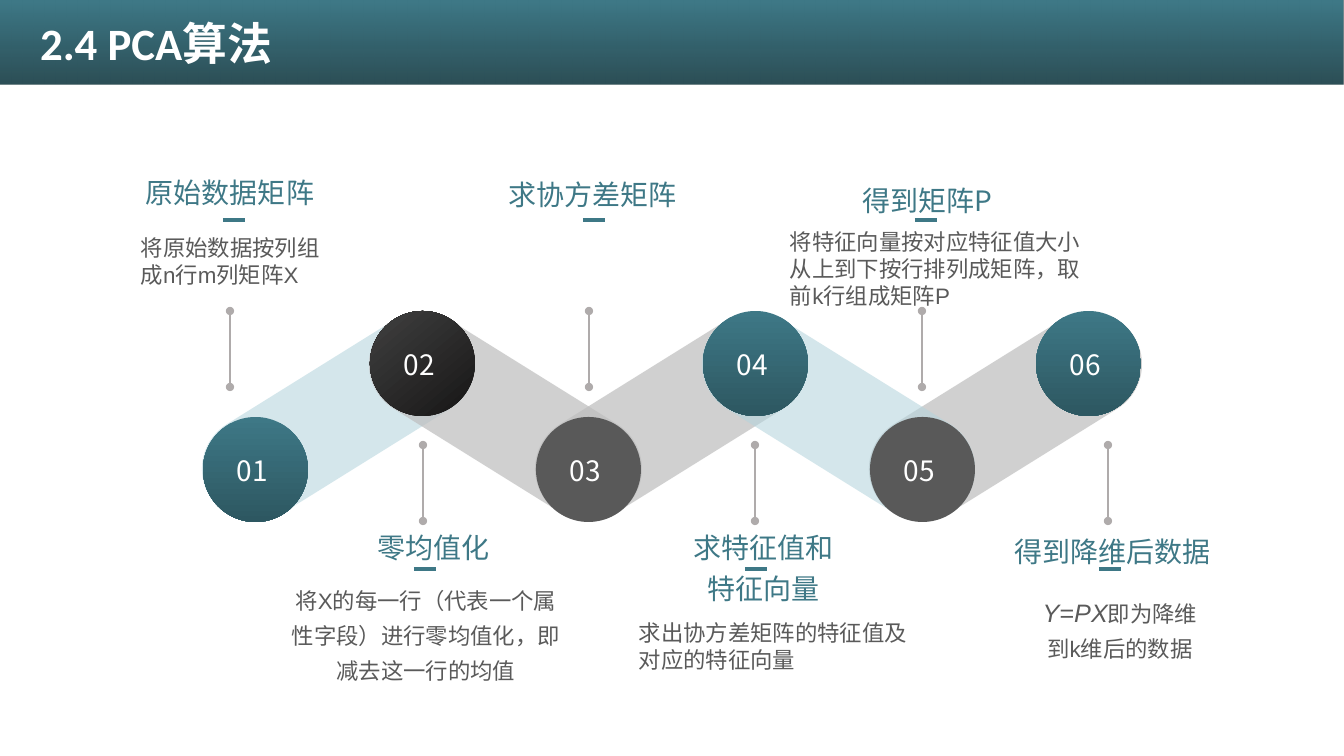
"""Build the slide on the six steps of the PCA algorithm."""
from lxml import etree
from pptx import Presentation
from pptx import util as u
from pptx.dml.color import RGBColor
from pptx.enum import shapes, text
from pptx.oxml.ns import qn

TITLE = "2.4 PCA算法"
TEAL, GREY, BODY, WHITE = "3E7886", "595959", "5A5A5A", "FFFFFF"
CJK = "Noto Sans CJK SC"
LEFT, CENTER = text.PP_ALIGN.LEFT, text.PP_ALIGN.CENTER
TEAL_FADE = ([(0, TEAL), (1, "2D5761")], 270)
BLACK_FADE = ([(0.03, "181717"), (1, "404040")], 130)
BAR_FADE = ([(0.04, TEAL), (0.96, "274B53")], 270)
DISC_FILLS = [TEAL_FADE, BLACK_FADE, GREY, TEAL_FADE, GREY, TEAL_FADE]
BAND_ORDER = [2, 4, 0, 1, 3]
BLUE_BANDS = {0, 3}

STEPS = [
    dict(stem=230, tick=223, head="原始数据矩阵", head_box=(134, 164, 192, 47),
         body=["将原始数据按列组成n行m列矩阵X"], body_box=(131, 229, 205, 65)),
    dict(stem=423, tick=414, head="零均值化", head_box=(351, 519, 165, 47),
         body=["将X的每一行（代表一个属性字段）进行零均值化，即减去这一行的均值"],
         body_box=(277, 574, 298, 113), align=CENTER),
    dict(stem=589, tick=583, head="求协方差矩阵", head_box=(494, 166, 197, 47)),
    dict(stem=755, tick=745, head="求特征值和特征向量", head_box=(682, 519, 163, 88),
         body=["求出协方差矩阵的特征值及对应的特征向量"], body_box=(629, 614, 298, 65)),
    dict(stem=922, tick=915, head="得到矩阵P", head_box=(829, 172, 197, 47),
         body=["将特征向量按对应特征值大小从上到下按行排列成矩阵，取前k行组成矩阵P"],
         body_box=(780, 223, 330, 92)),
    dict(stem=1108, tick=1099, head="得到降维后数据", head_box=(1000, 523, 225, 47),
         body=[("Y", True), ("=", False), ("PX", True), "即为降维到k维后的数据"],
         body_box=(1030, 583, 180, 82), align=CENTER),
]
DISC, BAND_W, BAND_TOP = 105, 303, 364
UPPER, LOWER = 311, 417


def px(*values):
    return [round(v * 914400 / 100.8) for v in values]


def rgb(value):
    return RGBColor.from_string(value)


def step_x(start, i):
    return start + round(i * 500 / 3)


def add_shape(kind, box, fill, alpha=None):
    sp = slide.shapes.add_shape(kind, *px(*box))
    sp.shadow.inherit = False
    sp.line.fill.background()
    if isinstance(fill, str):
        sp.fill.solid()
        sp.fill.fore_color.rgb = rgb(fill)
    else:
        stops, angle = fill
        sp.fill.gradient()
        sp.fill.gradient_angle = angle
        for stop, (position, color) in zip(sp.fill.gradient_stops, stops):
            stop.position = position
            stop.color.rgb = rgb(color)
    if alpha:
        color = list(sp._element.spPr.iter(qn("a:srgbClr")))[-1]
        etree.SubElement(color, qn("a:alpha")).set("val", str(alpha * 1000))
    return sp


def add_line(x1, y1, x2, y2, color, width, ovals=False):
    line = slide.shapes.add_connector(shapes.MSO_CONNECTOR.STRAIGHT, *px(x1, y1, x2, y2))
    line.line.color.rgb = rgb(color)
    line.line.width = u.Pt(width)
    if ovals:
        for end in ("a:headEnd", "a:tailEnd"):
            etree.SubElement(line.line._get_or_add_ln(), qn(end)).set("type", "oval")
    etree.SubElement(line._element.spPr, qn("a:effectLst"))


def write(sp, runs, size, font, color, align=LEFT, spacing=None, bold=None):
    tf = sp.text_frame
    tf.word_wrap = True
    tf.auto_size = text.MSO_AUTO_SIZE.SHAPE_TO_FIT_TEXT
    tf.vertical_anchor = text.MSO_ANCHOR.TOP
    p = tf.paragraphs[0]
    p.alignment, p.line_spacing = align, spacing
    p.font.size, p.font.name, p.font.bold = u.Pt(size), font, bold
    p.font.color.rgb = rgb(color)
    etree.SubElement(p.font._element, qn("a:ea")).set("typeface", CJK)
    for item in runs:
        r = p.add_run()
        if isinstance(item, str):
            r.text = item
        else:
            r.text, r.font.italic = item
            r.font.size = u.Pt(18)


def add_text(box, *args, **kwargs):
    write(slide.shapes.add_textbox(*px(*box)), *args, **kwargs)


prs = Presentation()
prs.slide_width, prs.slide_height = px(1344, 756)
slide = prs.slides.add_slide(prs.slide_layouts[5])

for i in BAND_ORDER:
    color, alpha = ("B5D5DD", 58) if i in BLUE_BANDS else ("BFBFBF", 72)
    band = add_shape(shapes.MSO_SHAPE.ROUNDED_RECTANGLE,
                     (step_x(187, i), BAND_TOP, BAND_W, DISC), color, alpha)
    band.adjustments[0] = 0.5
    band.rotation = 31.9 if i % 2 else 328.1

for i, fill in enumerate(DISC_FILLS):
    x, y = step_x(203, i), UPPER if i % 2 else LOWER
    add_shape(shapes.MSO_SHAPE.OVAL, (x, y, DISC, DISC), fill)
    add_text((x + 24, y + 32, 53, 44), [f"{i + 1:02}"], 20, CJK, WHITE)

for i, step in enumerate(STEPS):
    stem_y, tick_y = (445, 569) if i % 2 else (311, 220)
    add_line(step["stem"], stem_y, step["stem"], stem_y + 76, "AFABAB", 1.25, ovals=True)
    add_text(step["head_box"], [step["head"]], 20, CJK, TEAL, CENTER, 1.2)
    add_line(step["tick"], tick_y, step["tick"] + 22, tick_y, TEAL, 2.25)
    if "body" in step:
        align = step.get("align", LEFT)
        add_text(step["body_box"], step["body"], 16, "Arial", BODY, align,
                 1.3 if align == CENTER else None)

add_shape(shapes.MSO_SHAPE.RECTANGLE, (0, 0, 1344, 85), BAR_FADE, 97)
title = slide.shapes.title
title.left, title.top, title.width, title.height = px(30, 17, 1007, 65)
write(title, [TITLE], 32, "Calibri", WHITE, spacing=0.9, bold=True)
slide.shapes._spTree.append(title._element)

prs.save("out.pptx")
